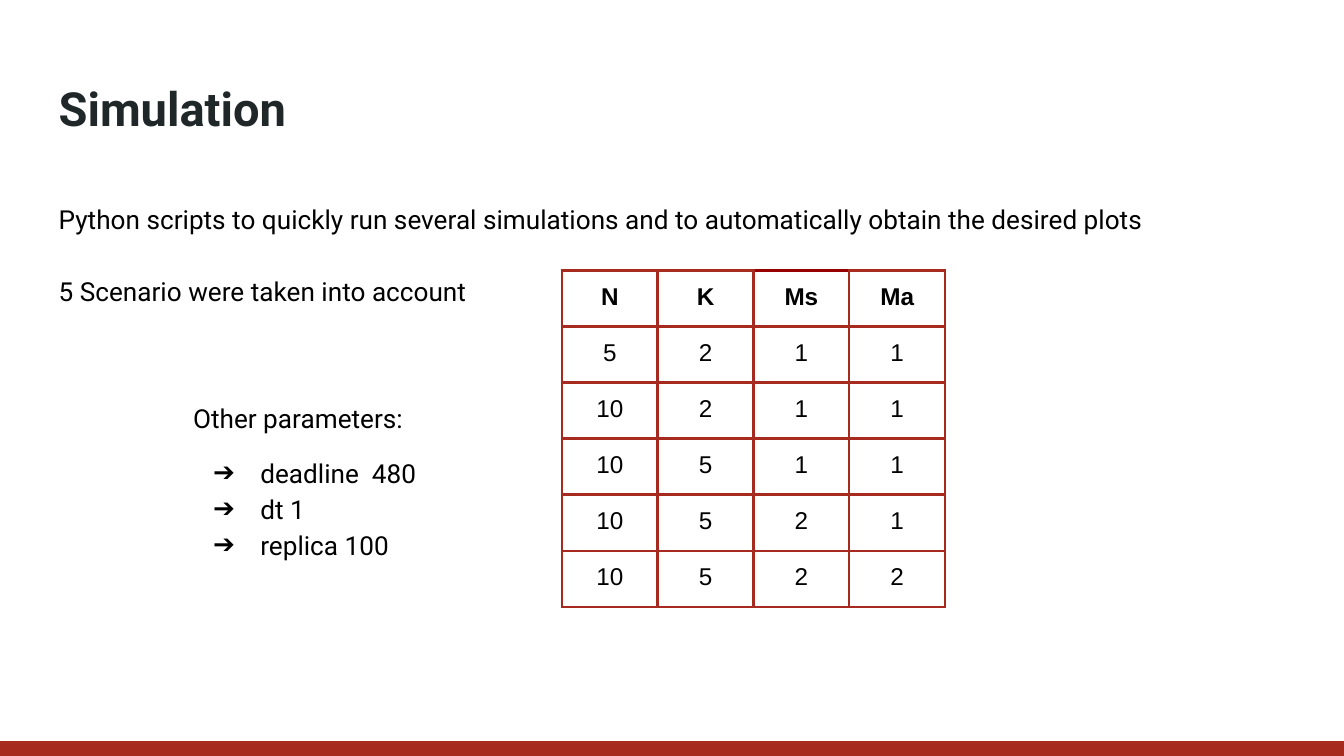
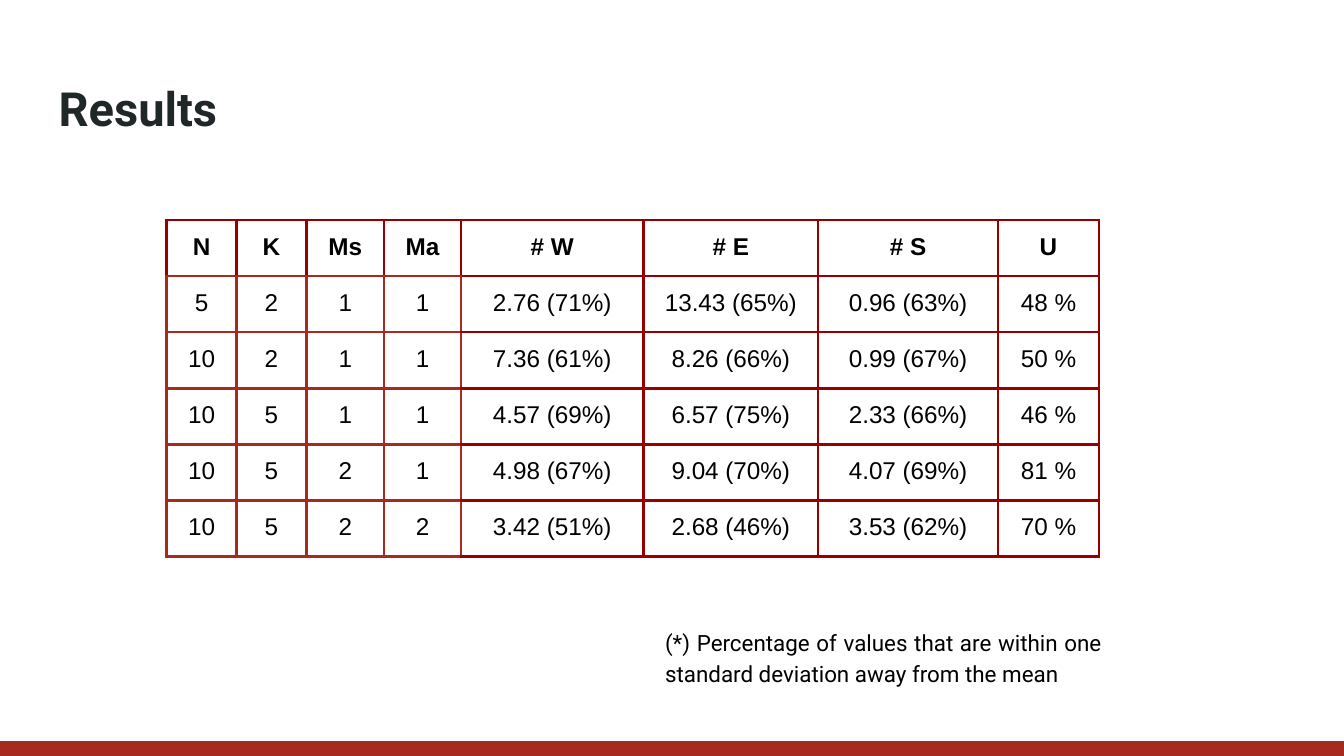
"""Build two slides on a simulation: its set-up and its results."""
import dataclasses

import lxml.etree
import pptx
import pptx.dml.color
import pptx.enum.shapes
import pptx.enum.text
import pptx.oxml.ns
import pptx.util

Cm = pptx.util.Cm
Pt = pptx.util.Pt
Align = pptx.enum.text.PP_ALIGN
Anchor = pptx.enum.text.MSO_ANCHOR


@dataclasses.dataclass(frozen=True)
class Theme:
    ink: str = "000000"
    head: str = "202729"
    red: str = "A72A1E"
    dark: str = "980000"
    font: str = "Roboto"
    grid: str = "Arial"
    title: float = 25.2
    body: float = 14
    note: float = 12
    cell: float = 13
    rule: float = 1.5
    inset: float = 0.25
    lead: float = 1.15


T = Theme()
WIDE, HIGH, BAND = 25.4, 14.29, 0.28
ROW = 1.06

CASES = [(5, 2, 1, 1), (10, 2, 1, 1), (10, 5, 1, 1), (10, 5, 2, 1), (10, 5, 2, 2)]
KEYS = ("N", "K", "Ms", "Ma")
STATS = ("# W", "# E", "# S", "U")
FOUND = [
    ("2.76 (71%)", "13.43 (65%)", "0.96 (63%)", "48 %"),
    ("7.36 (61%)", "8.26 (66%)", "0.99 (67%)", "50 %"),
    ("4.57 (69%)", "6.57 (75%)", "2.33 (66%)", "46 %"),
    ("4.98 (67%)", "9.04 (70%)", "4.07 (69%)", "81 %"),
    ("3.42 (51%)", "2.68 (46%)", "3.53 (62%)", "70 %"),
]
SETUP = [
    {"text": "Python scripts to quickly run several simulations "
             "and to automatically obtain the desired plots"},
    {"text": "5 Scenario were taken into account", "before": 19.3},
    {"text": "Other parameters:", "before": 48.6, "left": 2.54},
    {"text": "deadline  480", "before": 10, "left": 3.81, "mark": "➔"},
    {"text": "dt 1", "left": 3.81, "mark": "➔"},
    {"text": "replica 100", "left": 3.81, "mark": "➔"},
]
NOTE = [{"text": "(*) Percentage of values that are within one "
                 "standard deviation away from the mean"}]


def put(obj, vals):
    for key, val in vals.items():
        setattr(obj, key, val)


def rgb(code):
    return pptx.dml.color.RGBColor.from_string(code)


def sub(node, tag, **vals):
    return lxml.etree.SubElement(node, pptx.oxml.ns.qn(tag), **vals)


def write(para, text, size, font=T.font, color=T.ink, bold=False):
    run = para.add_run()
    run.text = text
    put(run.font, {"size": Pt(size), "name": font, "bold": bold})
    run.font.color.rgb = rgb(color)


def add_box(slide, left, top, wide, high, anchor=Anchor.TOP):
    frame = slide.shapes.add_textbox(Cm(left), Cm(top), Cm(wide), Cm(high)).text_frame
    put(frame, {"word_wrap": True, "vertical_anchor": anchor})
    put(frame, {f"margin_{side}": Cm(T.inset) for side in ("left", "top", "right", "bottom")})
    return frame


def add_text(slide, area, lines, size):
    frame = add_box(slide, *area)
    for num, line in enumerate(lines):
        para = frame.add_paragraph() if num else frame.paragraphs[0]
        put(para, {"alignment": Align.JUSTIFY, "line_spacing": T.lead,
                   "space_before": Pt(line.get("before", 0))})
        props = para._p.get_or_add_pPr()
        if "left" in line:
            props.set("marL", str(Cm(line["left"])))
            props.set("indent", "0")
        if "mark" in line:
            props.set("indent", str(-Cm(0.89)))
            sub(sub(props, "a:buClr"), "a:srgbClr", val=T.ink)
            sub(props, "a:buFont", typeface=T.font)
            sub(props, "a:buChar", char=line["mark"])
        write(para, line["text"], size)


def set_edge(cell, side, color):
    line = sub(cell._tc.get_or_add_tcPr(), f"a:ln{side}", w=str(Pt(T.rule)))
    sub(sub(line, "a:solidFill"), "a:srgbClr", val=color)
    sub(line, "a:prstDash", val="solid")


def add_grid(slide, left, top, cols, rows, is_dark):
    size = Cm(left), Cm(top), Cm(sum(cols)), Cm(ROW * len(rows))
    grid = slide.shapes.add_table(len(rows), len(cols), *size).table
    put(grid, {"first_row": False, "horz_banding": False})
    for col, wide in zip(grid.columns, cols):
        col.width = Cm(wide)
    for r, row in enumerate(rows):
        grid.rows[r].height = Cm(ROW)
        for c, val in enumerate(row):
            cell = grid.cell(r, c)
            put(cell, {f"margin_{side}": Cm(T.inset)
                       for side in ("left", "top", "right", "bottom")})
            for side in "LRTB":
                set_edge(cell, side, T.dark if is_dark(r, c, side) else T.red)
            cell.fill.background()
            para = cell.text_frame.paragraphs[0]
            para.alignment = Align.CENTER
            write(para, str(val), T.cell, font=T.grid, bold=r == 0)


def add_slide(deck, title):
    slide = deck.slides.add_slide(deck.slide_layouts[6])
    frame = add_box(slide, 0.86, 1.24, 23.67, 1.6, Anchor.MIDDLE)
    write(frame.paragraphs[0], title, T.title, color=T.head, bold=True)
    band = slide.shapes.add_shape(pptx.enum.shapes.MSO_SHAPE.RECTANGLE,
                                  0, Cm(HIGH - BAND), Cm(WIDE), Cm(BAND))
    band.shadow.inherit = False
    band.fill.solid()
    band.fill.fore_color.rgb = rgb(T.red)
    band.line.fill.background()
    return slide


def case_dark(r, c, side):
    return (r, c, side) == (0, 2, "T")


def stat_dark(r, c, side):
    first = len(KEYS)
    if r == 0:
        return c >= first or side != "B"
    return c > first or (c == first and side != "L")


def main():
    deck = pptx.Presentation()
    put(deck, {"slide_width": Cm(WIDE), "slide_height": Cm(HIGH)})

    slide = add_slide(deck, "Simulation")
    add_text(slide, (0.86, 3.51, 21.87, 7.34), SETUP, T.body)
    add_grid(slide, 10.62, 5.11, [1.81] * len(KEYS), [KEYS] + CASES, case_dark)

    slide = add_slide(deck, "Results")
    add_text(slide, (12.32, 11.56, 8.76, 1.63), NOTE, T.note)
    rows = [KEYS + STATS] + [case + vals for case, vals in zip(CASES, FOUND)]
    cols = [1.32, 1.32, 1.47, 1.45, 3.45, 3.3, 3.4, 1.91]
    add_grid(slide, 3.15, 4.16, cols, rows, stat_dark)

    deck.save("out.pptx")


if __name__ == "__main__":
    main()
